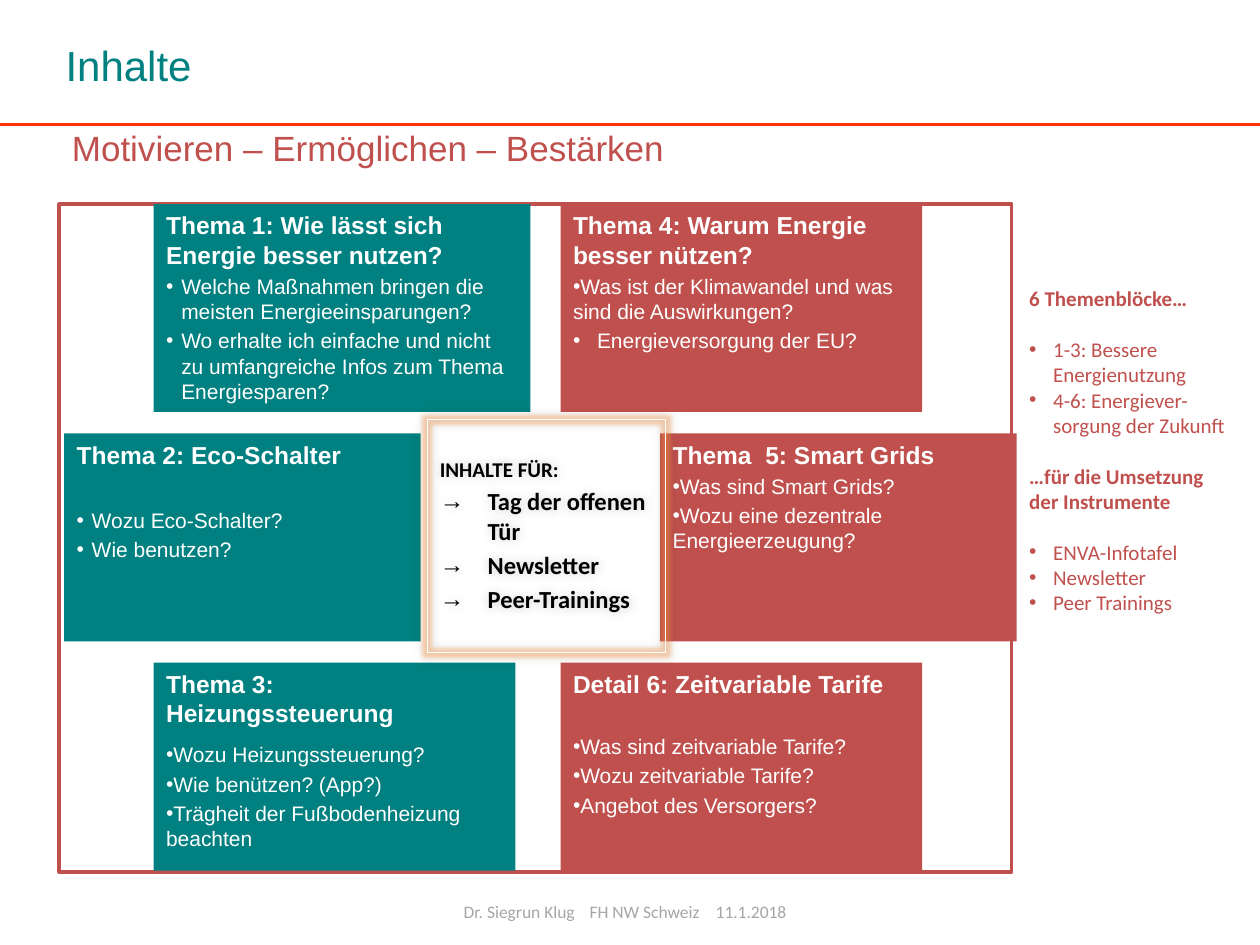
from lxml import etree
from pptx import Presentation
from pptx.dml.color import RGBColor
from pptx.enum import shapes, text
from pptx.oxml import ns, parse_xml
from pptx.util import Inches, Pt

COLORS = {
    "teal": "008080", "red": "C0504D", "rule": "FF3300", "glow": "F79646",
    "white": "FFFFFF", "black": "000000", "grey": "A6A6A6",
}
BLOCK_GAP = 2.4


def rgb(name):
    return RGBColor.from_string(COLORS[name])


def item(words, size=12, color="white", font="Arial", bold=False, bullet=None,
         indent=0, before=0, tabs=()):
    """Describe one paragraph; indent is a hanging indent in inches."""
    return dict(words=words, size=size, color=color, font=font, bold=bold,
                bullet=bullet, indent=indent, before=before, tabs=tabs)


def heading(words):
    return item(words, size=14, bold=True)


def question(words, indent=0, before=BLOCK_GAP):
    return item(words, bullet="•", indent=indent, before=before)


def note(words, before=0, **style):
    return item(words, color="red", font="Calibri", before=before, **style)


def note_bullet(words, before=0):
    return note(words, before, bullet="•", indent=0.19)


def instrument(words):
    return item(words, size=14, color="black", font="Calibri", bold=True,
                bullet="→", indent=0.38, before=2.8)


def write_paragraph(paragraph, words, size, color, font, bold, bullet, indent,
                    before, tabs):
    properties = paragraph._p.get_or_add_pPr()
    properties.set("marL", str(Inches(indent)))
    properties.set("indent", str(-Inches(indent) if bullet else 0))
    if bullet:
        face = etree.SubElement(properties, ns.qn("a:buFont"))
        face.set("typeface", "Arial")
        etree.SubElement(properties, ns.qn("a:buChar")).set("char", bullet)
    else:
        etree.SubElement(properties, ns.qn("a:buNone"))
    if tabs:
        tab_list = etree.SubElement(properties, ns.qn("a:tabLst"))
        for position in tabs:
            tab = etree.SubElement(tab_list, ns.qn("a:tab"))
            tab.set("pos", str(Inches(position)))
            tab.set("algn", "l")
    paragraph.alignment = text.PP_ALIGN.LEFT
    paragraph.space_before = Pt(before)
    run = paragraph.add_run()
    run.text = words
    run.font.size = Pt(size)
    run.font.name = font
    run.font.bold = bold
    run.font.color.rgb = rgb(color)


class SlideBuilder:
    def __init__(self, presentation):
        self.slide = presentation.slides.add_slide(presentation.slide_layouts[3])
        self.shapes = self.slide.shapes

    def fill_text(self, shape, items, anchor=text.MSO_ANCHOR.TOP,
                  margins=(0.1, 0.05, 0.1, 0.05)):
        frame = shape.text_frame
        frame.word_wrap = True
        frame.auto_size = text.MSO_AUTO_SIZE.NONE
        frame.vertical_anchor = anchor
        (frame.margin_left, frame.margin_top,
         frame.margin_right, frame.margin_bottom) = map(Inches, margins)
        for index, entry in enumerate(items):
            paragraph = frame.add_paragraph() if index else frame.paragraphs[0]
            write_paragraph(paragraph, **entry)

    def placeholder(self, index, at, items, **layout):
        shape = self.slide.placeholders[index]
        shape.left, shape.top, shape.width, shape.height = map(Inches, at)
        self.fill_text(shape, items, **layout)
        return shape

    def textbox(self, at, items, **layout):
        self.fill_text(self.shapes.add_textbox(*map(Inches, at)), items, **layout)

    def rectangle(self, at, fill, line=None):
        shape = self.shapes.add_shape(shapes.MSO_SHAPE.RECTANGLE, *map(Inches, at))
        shape.shadow.inherit = False
        shape.fill.solid()
        shape.fill.fore_color.rgb = rgb(fill)
        if line:
            shape.line.color.rgb = rgb(line)
            shape.line.width = Pt(2)
        else:
            shape.line.fill.background()
        return shape

    def block(self, at, fill, items):
        self.fill_text(self.rectangle(at, fill), items)

    def rule(self, y):
        line = self.shapes.add_connector(
            shapes.MSO_CONNECTOR.STRAIGHT, 0, Inches(y), Inches(10), Inches(y))
        line.line.color.rgb = rgb("rule")
        line.line.width = Pt(1.5)
        etree.SubElement(line._element.spPr, ns.qn("a:effectLst"))

    def glowing_frame(self, shape):
        """Outline the shape in white with a glow and put it in front."""
        shape.fill.background()
        shape.line.color.rgb = rgb("white")
        shape.line.width = Pt(0.75)
        shape._element.spPr.append(parse_xml(
            f'<a:effectLst {ns.nsdecls("a")}>'
            f'<a:glow rad="{Pt(5)}"><a:srgbClr val="{COLORS["glow"]}">'
            '<a:alpha val="40000"/></a:srgbClr></a:glow>'
            f'<a:outerShdw blurRad="{Pt(6)}" dist="0" dir="18900000">'
            f'<a:srgbClr val="{COLORS["black"]}"><a:alpha val="20000"/>'
            '</a:srgbClr></a:outerShdw></a:effectLst>'))
        self.shapes._spTree.append(shape._element)


def main():
    presentation = Presentation()
    presentation.slide_width, presentation.slide_height = Inches(10), Inches(7.5)
    builder = SlideBuilder(presentation)

    builder.rule(0.99)
    builder.placeholder(0, (0.42, 0.2, 9, 0.63),
                        [item("Inhalte", size=24, color="teal")],
                        anchor=text.MSO_ANCHOR.MIDDLE)
    builder.placeholder(1, (0.47, 0.95, 9, 0.43),
                        [item("Motivieren – Ermöglichen – Bestärken", size=20,
                              color="red")])
    builder.rectangle((0.47, 1.62, 7.56, 5.3), "white", "red")
    builder.textbox((3.42, 7.11, 3.17, 0.24),
                    [item("Dr. Siegrun Klug\tFH NW Schweiz\t11.1.2018", size=10,
                          color="grey", font="Calibri", indent=0.19,
                          tabs=(1.23, 2.26))],
                    margins=(0.07, 0.04, 0.07, 0.04))

    rows = (1.62, 3.44, 5.26)
    blocks = [
        (1.22, 0, 2.99, "teal", [
            heading("Thema 1: Wie lässt sich Energie besser nutzen?"),
            question("Welche Maßnahmen bringen die meisten Energieeinsparungen?", 0.12),
            question("Wo erhalte ich einfache und nicht zu umfangreiche Infos "
                     "zum Thema Energiesparen?", 0.12)]),
        (0.51, 1, 2.83, "teal", [
            heading("Thema 2: Eco-Schalter"),
            question("Wozu Eco-Schalter?", 0.12, before=22),
            question("Wie benutzen?", 0.12)]),
        (1.22, 2, 2.87, "teal", [
            heading("Thema 3: Heizungssteuerung"),
            question("Wozu Heizungssteuerung?", before=8),
            question("Wie benützen? (App?)"),
            question("Trägheit der Fußbodenheizung beachten")]),
        (4.45, 0, 2.87, "red", [
            heading("Thema 4: Warum Energie besser nützen?"),
            question("Was ist der Klimawandel und was sind die Auswirkungen?"),
            question("Energieversorgung der EU?", 0.19)]),
        (5.24, 1, 2.83, "red", [
            heading("Thema  5: Smart Grids"),
            question("Was sind Smart Grids?"),
            question("Wozu eine dezentrale Energieerzeugung?")]),
        (4.45, 2, 2.87, "red", [
            heading("Detail 6: Zeitvariable Tarife"),
            question("Was sind zeitvariable Tarife?", before=20),
            question("Wozu zeitvariable Tarife?"),
            question("Angebot des Versorgers?")]),
    ]
    for left, row, width, fill, items in blocks:
        builder.block((left, rows[row], width, 1.65), fill, items)

    center = builder.placeholder(2, (3.39, 3.33, 1.89, 1.85), [
        item("INHALTE FÜR:", color="black", font="Calibri", bold=True),
        instrument("Tag der offenen Tür"),
        instrument("Newsletter"),
        instrument("Peer-Trainings"),
    ], margins=(0.1, 0.29, 0.1, 0.05))
    builder.glowing_frame(center)

    blank_line = 14.6
    builder.textbox((8.07, 1.47, 1.81, 4.8), [
        note("6 Themenblöcke…", bold=True),
        note_bullet("1-3: Bessere Energienutzung", blank_line),
        note_bullet("4-6: Energiever-sorgung der Zukunft"),
        note("…für die Umsetzung der Instrumente", blank_line, bold=True),
        note_bullet("ENVA-Infotafel", blank_line),
        note_bullet("Newsletter"),
        note_bullet("Peer Trainings"),
    ], margins=(0.1, 0.8, 0.1, 0.05))

    presentation.save("out.pptx")


if __name__ == "__main__":
    main()
